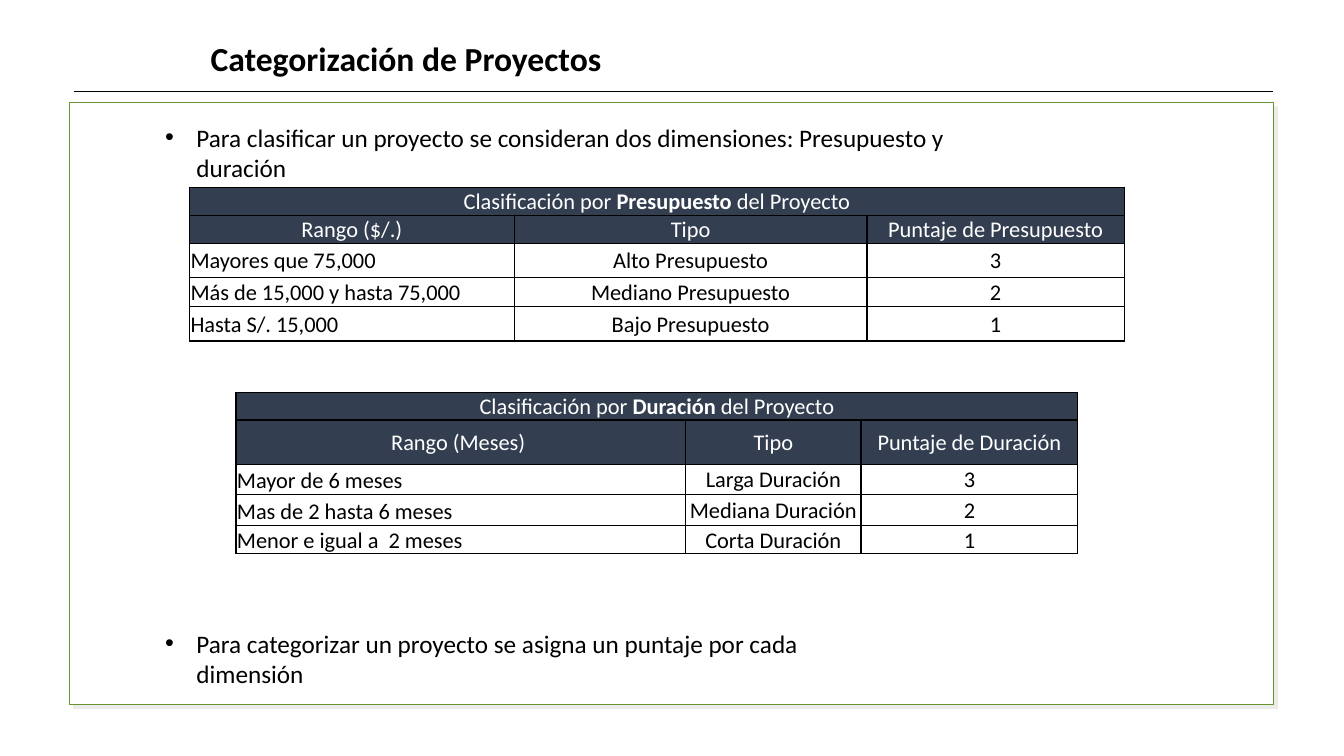
import pptx
import pptx.util
import pptx.dml.color
import pptx.enum.shapes
import pptx.enum.text
import pptx.oxml
import pptx.oxml.ns
from lxml import etree

Inches = pptx.util.Inches
Pt = pptx.util.Pt
RGBColor = pptx.dml.color.RGBColor
Align = pptx.enum.text.PP_ALIGN
Anchor = pptx.enum.text.MSO_ANCHOR
qn = pptx.oxml.ns.qn

BLACK = RGBColor(0x00, 0x00, 0x00)
WHITE = RGBColor(0xFF, 0xFF, 0xFF)
GREEN = RGBColor(0x69, 0x93, 0x31)
NAVY = RGBColor(0x33, 0x3F, 0x50)
FONT = "Calibri"

BUDGET_ROWS = [
    ["Rango ($/.)", "Tipo", "Puntaje de Presupuesto"],
    ["Mayores que 75,000", "Alto Presupuesto", "3"],
    ["Más de 15,000 y hasta 75,000", "Mediano Presupuesto", "2"],
    ["Hasta S/. 15,000", "Bajo Presupuesto", "1"],
]
DURATION_ROWS = [
    ["Rango (Meses) ", "Tipo", "Puntaje de Duración"],
    ["Mayor de 6 meses", "Larga Duración", "3"],
    ["Mas de 2 hasta 6 meses", "Mediana Duración", "2"],
    ["Menor e igual a  2 meses", "Corta Duración", "1"],
]


def style_font(para, size, color):
    para.font.name = FONT
    para.font.size = Pt(size)
    para.font.color.rgb = color


def add_frame(page, left, top, width, height):
    frame = page.shapes.add_shape(
        pptx.enum.shapes.MSO_SHAPE.RECTANGLE,
        Inches(left), Inches(top), Inches(width), Inches(height))
    frame.fill.solid()
    frame.fill.fore_color.rgb = WHITE
    frame.line.color.rgb = GREEN
    frame.line.width = Pt(0.75)
    frame.shadow.inherit = False
    effects = frame._element.spPr.find(qn("a:effectLst"))
    shadow = etree.SubElement(effects, qn("a:outerShdw"), dist=str(Pt(4.2)),
                              dir="2700000", algn="tl", rotWithShape="0")
    tint = etree.SubElement(shadow, qn("a:srgbClr"), val=str(BLACK))
    etree.SubElement(tint, qn("a:alpha"), val="8000")


def add_text(page, left, top, width, height):
    box = page.shapes.add_textbox(
        Inches(left), Inches(top), Inches(width), Inches(height))
    box.text_frame.word_wrap = True
    return box.text_frame.paragraphs[0]


def add_heading(page, left, top, width):
    para = add_text(page, left + 1.26, top, 5.46, 0.51)
    para.text = "Categorización de Proyectos"
    style_font(para, 24, BLACK)
    para.font.bold = True
    rule_top = Inches(top + 0.58)
    rule = page.shapes.add_connector(
        pptx.enum.shapes.MSO_CONNECTOR.STRAIGHT,
        Inches(left), rule_top, Inches(left + width), rule_top)
    rule.line.color.rgb = BLACK
    rule.line.width = Pt(0.75)
    etree.SubElement(rule._element.spPr, qn("a:effectLst"))


def add_bullet(page, left, top, width, text):
    para = add_text(page, left, top, width, 0.37)
    para.text = text
    properties = para._p.get_or_add_pPr()
    properties.set("marL", str(Inches(0.31)))
    properties.set("indent", str(Inches(-0.31)))
    etree.SubElement(properties, qn("a:buFont"), typeface="Arial")
    etree.SubElement(properties, qn("a:buChar"), char="•")
    style_font(para, 18, BLACK)


def add_borders(cell):
    properties = cell._tc.get_or_add_tcPr()
    for index, side in enumerate(("lnL", "lnR", "lnT", "lnB")):
        border = etree.Element(qn(f"a:{side}"), w=str(Pt(1)))
        fill = etree.SubElement(border, qn("a:solidFill"))
        etree.SubElement(fill, qn("a:srgbClr"), val=str(BLACK))
        properties.insert(index, border)


def style_cell(cell, is_header, align, anchor):
    if is_header:
        cell.fill.solid()
        cell.fill.fore_color.rgb = NAVY
    else:
        cell.fill.background()
    cell.margin_left = cell.margin_right = cell.margin_top = Inches(0.01)
    cell.margin_bottom = 0
    cell.vertical_anchor = anchor
    para = cell.text_frame.paragraphs[0]
    para.alignment = align
    style_font(para, 16, WHITE if is_header else BLACK)
    add_borders(cell)


def add_score_table(page, left, top, widths, heights, dimension, rows, range_anchor):
    table = page.shapes.add_table(
        len(heights), len(widths), Inches(left), Inches(top),
        Inches(sum(widths)), Inches(sum(heights))).table
    table.first_row = False
    table.horz_banding = False
    for column, width in zip(table.columns, widths):
        column.width = Inches(width)
    for row, height in zip(table.rows, heights):
        row.height = Inches(height)

    caption = table.cell(0, 0)
    caption.merge(table.cell(0, len(widths) - 1))
    para = caption.text_frame.paragraphs[0]
    for text in ("Clasificación por ", dimension, " del Proyecto"):
        span = para.add_run()
        span.text = text
        span.font.bold = text == dimension

    for row_index, texts in enumerate(rows, start=1):
        for column_index, text in enumerate(texts):
            table.cell(row_index, column_index).text = text

    for row_index in range(len(heights)):
        for column_index in range(len(widths)):
            is_header = row_index < 2
            is_range = column_index == 0 and not is_header
            style_cell(table.cell(row_index, column_index), is_header,
                       Align.LEFT if is_range else Align.CENTER,
                       range_anchor if is_range else Anchor.MIDDLE)


def add_body(page, left, top, width, height):
    add_frame(page, left, top, width, height)
    add_bullet(page, left + 0.85, top + 0.14, 8.7,
               "Para clasificar un proyecto se consideran dos dimensiones: Presupuesto y duración")
    add_bullet(page, left + 0.85, top + 5.16, 7.4,
               "Para categorizar un proyecto se asigna un puntaje por cada dimensión")
    add_score_table(page, left + 1.19, top + 0.84, [3.22, 3.5, 2.55],
                    [0.25, 0.25, 0.34, 0.29, 0.34], "Presupuesto", BUDGET_ROWS, Anchor.MIDDLE)
    add_score_table(page, left + 1.65, top + 2.87, [4.46, 1.74, 2.15],
                    [0.23, 0.44, 0.3, 0.31, 0.27], "Duración", DURATION_ROWS, Anchor.BOTTOM)


def main():
    deck = pptx.Presentation()
    deck.slide_width = Inches(13.33)
    deck.slide_height = Inches(7.5)
    page = deck.slides.add_slide(deck.slide_layouts[6])
    add_heading(page, 0.73, 0.33, 11.9)
    add_body(page, 0.69, 1.02, 11.94, 5.97)
    deck.save("out.pptx")


if __name__ == "__main__":
    main()
